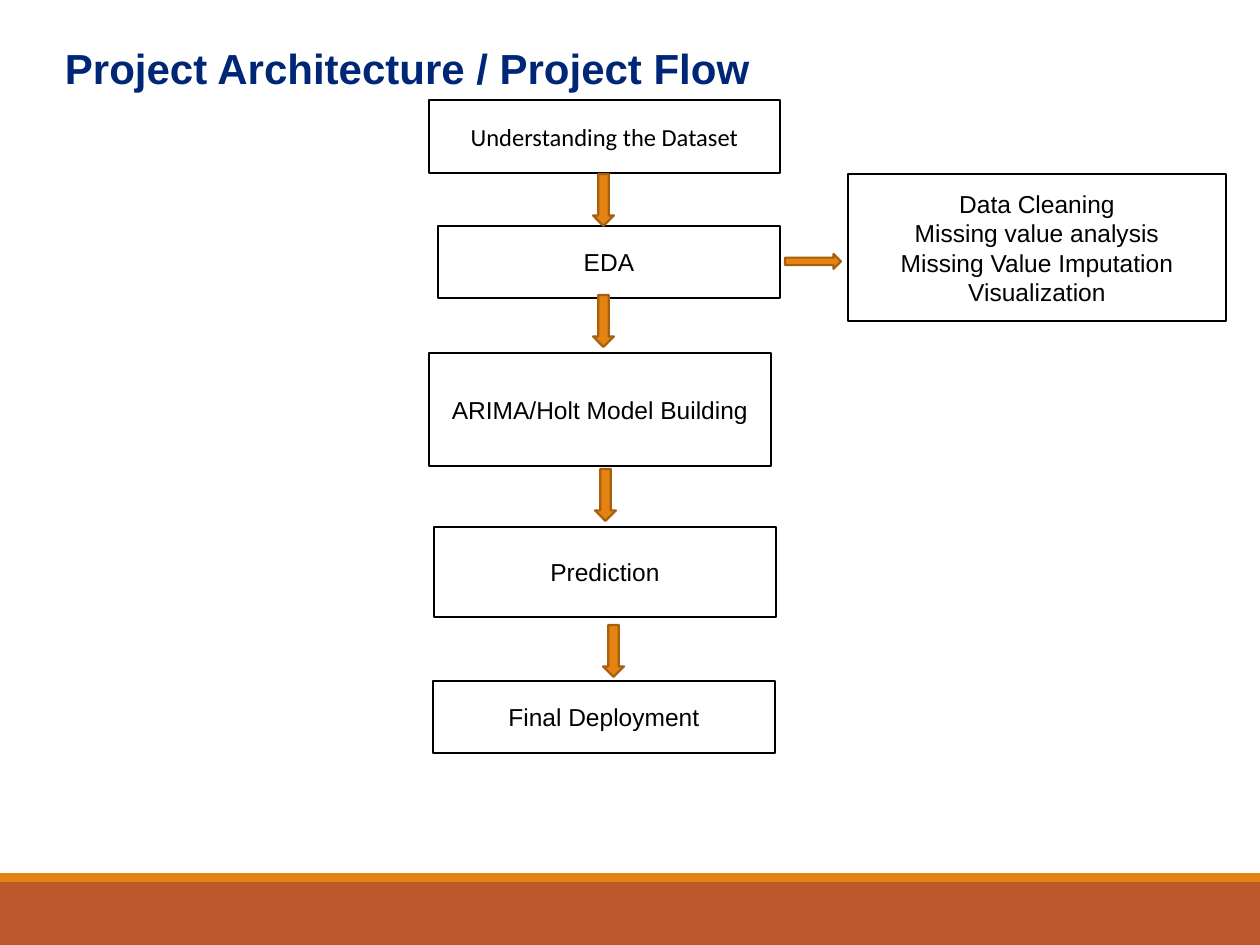
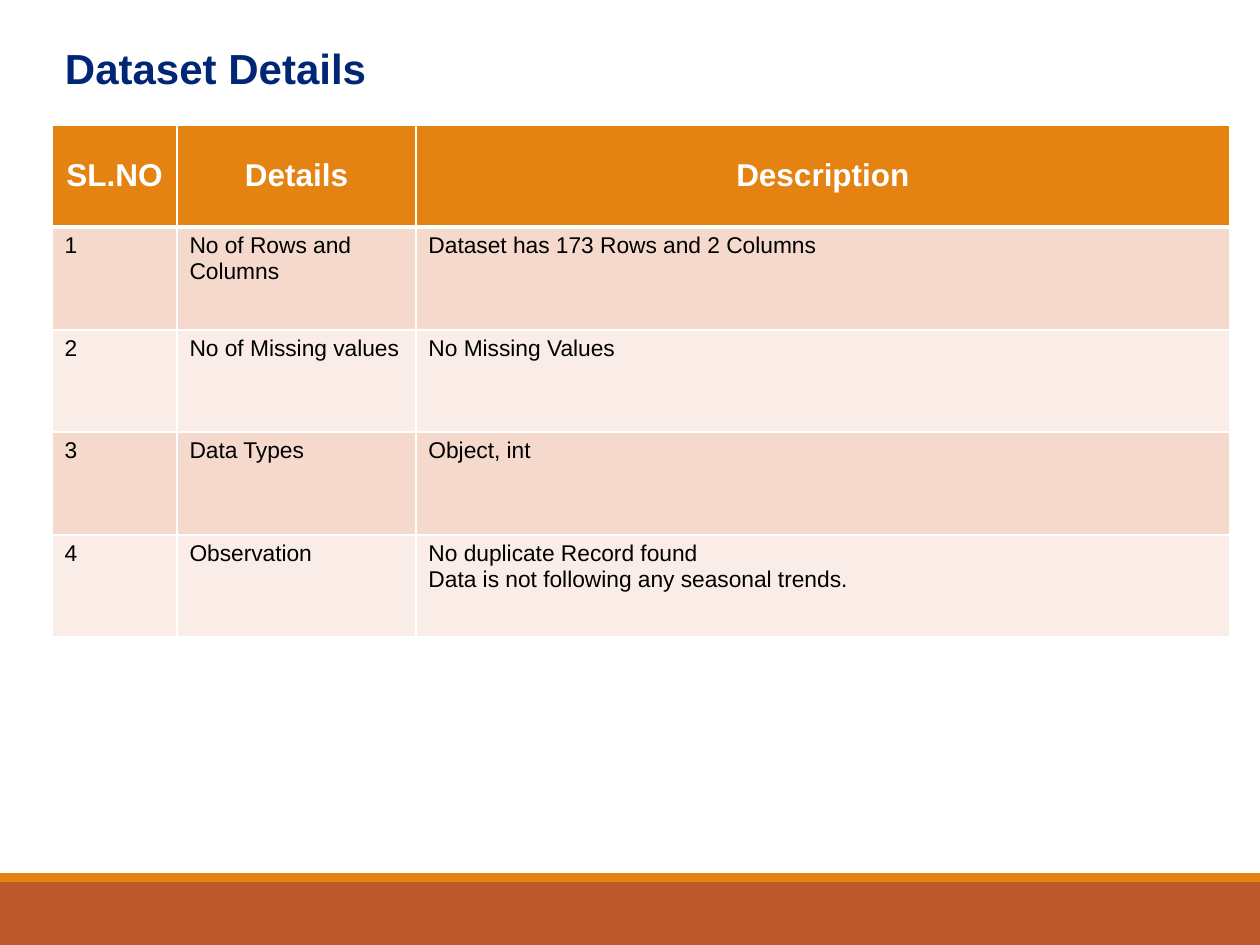
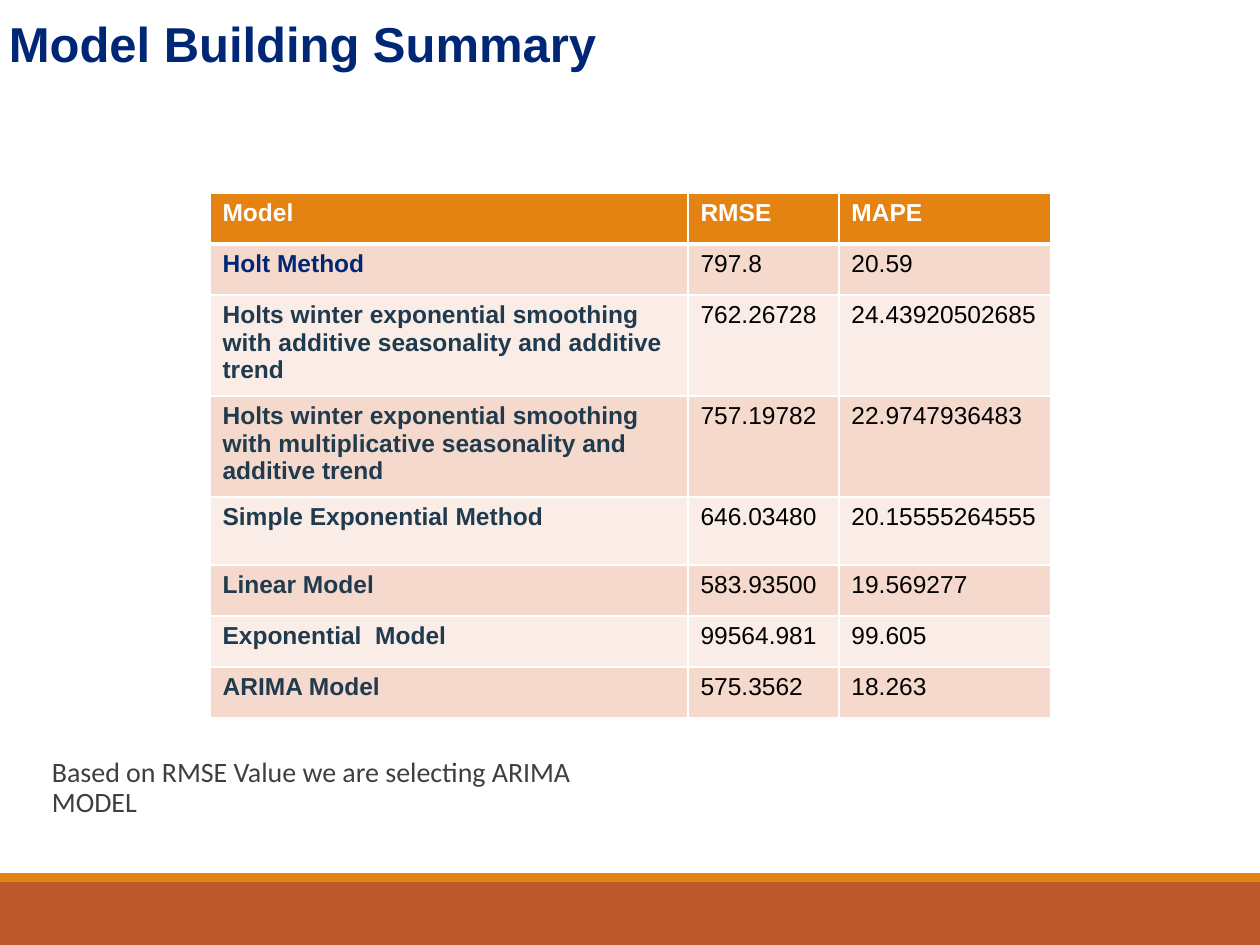
from lxml import etree
from pptx import Presentation
from pptx.dml.color import RGBColor
from pptx.enum.shapes import MSO_SHAPE
from pptx.enum.text import MSO_ANCHOR, PP_ALIGN
from pptx.oxml.ns import qn
from pptx.util import Pt

PX = 914400 / 126
W, H = 1260, 945
RECT, DOWN, RIGHT = MSO_SHAPE.RECTANGLE, MSO_SHAPE.DOWN_ARROW, MSO_SHAPE.RIGHT_ARROW
TOP, MIDDLE = MSO_ANCHOR.TOP, MSO_ANCHOR.MIDDLE
LEFT, CENTER = PP_ALIGN.LEFT, PP_ALIGN.CENTER

NAVY, SLATE, GREY = "002776", "203A4E", "3F3F3F"
BLACK, WHITE = "000000", "FFFFFF"
ORANGE, DARK_ORANGE, RUST = "E48312", "A65F0D", "BD582C"
BANDS = ["F5D9CC", "FAEDE7"]

TITLE = {"size": 24, "name": "Arial", "color": NAVY, "bold": True}
BODY = {"size": 14, "name": "Arial", "color": BLACK, "bold": False}
HEAD = {**BODY, "color": WHITE, "bold": True}

DETAILS = [
    ["SL.NO", "Details", "Description"],
    ["1", "No of Rows and Columns", "Dataset has 173 Rows and 2 Columns"],
    ["2", "No of Missing values", "No Missing Values"],
    ["3", "Data Types", "Object, int"],
    ["4", "Observation",
     "No duplicate Record found\nData is not following any seasonal trends."],
]
MODELS = [
    ["Model", "RMSE", "MAPE"],
    ["Holt Method", "797.8", "20.59"],
    ["Holts winter exponential smoothing with additive seasonality and additive trend",
     "762.26728", "24.43920502685"],
    ["Holts winter exponential smoothing with multiplicative seasonality and additive trend",
     "757.19782", "22.9747936483"],
    ["Simple Exponential Method", "646.03480", "20.15555264555"],
    ["Linear Model", "583.93500", "19.569277"],
    ["Exponential  Model", "99564.981", "99.605"],
    ["ARIMA Model", "575.3562", "18.263"],
]


def px(n):
    return round(n * PX)


def rgb(value):
    return RGBColor.from_string(value)


def write(tf, text, fmt, align=LEFT, spacing=None):
    """Fill a text frame, one paragraph for each line."""
    for i, line in enumerate(text.split("\n")):
        p = tf.paragraphs[0] if i == 0 else tf.add_paragraph()
        p.alignment = align
        p.line_spacing = spacing
        r = p.add_run()
        r.text = line
        for key, value in fmt.items():
            if key == "color":
                r.font.color.rgb = rgb(value)
            else:
                setattr(r.font, key, Pt(value) if key == "size" else value)


def add_shape(s, kind, box, fill, line=None):
    sp = s.shapes.add_shape(kind, *map(px, box))
    sp.shadow.inherit = False
    sp.fill.solid()
    sp.fill.fore_color.rgb = rgb(fill)
    if line:
        sp.line.color.rgb = rgb(line)
        sp.line.width = Pt(1.25)
    else:
        sp.line.fill.background()
    return sp


def add_text(s, box, text, fmt, margins=(13, 6), spacing=None):
    tf = s.shapes.add_textbox(*map(px, box)).text_frame
    tf.word_wrap = True
    tf.margin_left = tf.margin_right = px(margins[0])
    tf.margin_top = tf.margin_bottom = px(margins[1])
    write(tf, text, fmt, spacing=spacing)


def new_slide(prs):
    """Blank slide with the footer bands."""
    s = prs.slides.add_slide(prs.slide_layouts[6])
    add_shape(s, RECT, (0, 882, W, 63), RUST)
    add_shape(s, RECT, (0, 873, W, 9), ORANGE)
    return s


def add_title(s, text):
    add_text(s, (52, 37, 845, 63), text, TITLE)


def add_step(s, box, text, font="Arial"):
    sp = add_shape(s, RECT, box, WHITE, BLACK)
    tf = sp.text_frame
    tf.word_wrap = True
    tf.vertical_anchor = MIDDLE
    write(tf, text, {**BODY, "name": font}, CENTER)


def add_flow(s, left, top):
    """Column of steps, the arrows between them and the side note."""
    steps = [
        (0, 0, 351, 73, "Understanding the Dataset", "Calibri"),
        (9, 126, 342, 72, "EDA", "Arial"),
        (0, 253, 342, 113, "ARIMA/Holt Model Building", "Arial"),
        (5, 427, 342, 90, "Prediction", "Arial"),
        (4, 581, 342, 72, "Final Deployment", "Arial"),
    ]
    for x, y, w, h, text, font in steps:
        add_step(s, (left + x, top + y, w, h), text, font)
    for x, y in [(164, 74), (164, 195), (166, 369), (174, 525)]:
        add_shape(s, DOWN, (left + x, top + y, 21, 52), ORANGE, DARK_ORANGE)
    add_shape(s, RIGHT, (left + 356, top + 154, 56, 15), ORANGE, DARK_ORANGE)
    add_step(s, (left + 419, top + 74, 378, 147),
             "Data Cleaning\nMissing value analysis\nMissing Value Imputation\nVisualization")


def add_border(cell, side, width):
    ln = etree.SubElement(cell._tc.get_or_add_tcPr(), qn(f"a:ln{side}"), w=str(Pt(width)))
    fill = etree.SubElement(ln, qn("a:solidFill"))
    etree.SubElement(fill, qn("a:srgbClr"), val=WHITE)


def add_grid(s, left, top, cols, heights, rows, style):
    """Banded table; style(row, col) gives format, alignment and anchor."""
    frame = s.shapes.add_table(len(rows), len(cols), px(left), px(top),
                               px(sum(cols)), px(sum(heights)))
    table = frame.table
    for col, width in zip(table.columns, cols):
        col.width = px(width)
    for row, height in zip(table.rows, heights):
        row.height = px(height)
    for i, texts in enumerate(rows):
        for j, text in enumerate(texts):
            cell = table.cell(i, j)
            fmt, align, anchor = style(i, j)
            cell.vertical_anchor = anchor
            write(cell.text_frame, text, fmt, align)
            # A thick rule separates the header from the body
            for side in "LRTB":
                thick = (i, side) in [(0, "B"), (1, "T")]
                add_border(cell, side, 3 if thick else 1)
            cell.fill.solid()
            cell.fill.fore_color.rgb = rgb(BANDS[(i - 1) % 2] if i else ORANGE)


def details_style(row, col):
    if row == 0:
        return {**HEAD, "size": 18}, CENTER, MIDDLE
    return {**BODY, "size": 13}, LEFT, TOP


def models_style(row, col):
    if row == 0:
        fmt = HEAD
    elif col == 0:
        fmt = {**HEAD, "color": NAVY if row == 1 else SLATE}
    else:
        fmt = BODY
    return fmt, LEFT, TOP


def flow_slide(prs):
    s = new_slide(prs)
    add_title(s, "Project Architecture / Project Flow")
    add_flow(s, 429, 100)


def details_slide(prs):
    s = new_slide(prs)
    add_title(s, "Dataset Details")
    add_grid(s, 52, 125, [125, 239, 814], [102, 103, 102, 103, 102],
             DETAILS, details_style)


def summary_slide(prs):
    s = new_slide(prs)
    add_text(s, (9, 14, 864, 112), "Model Building Summary",
             {**TITLE, "size": 28}, margins=(0, 0))
    add_text(s, (52, 752, 578, 168), "Based on RMSE Value we are selecting ARIMA MODEL",
             {"size": 16, "name": "Calibri", "color": GREY}, margins=(0, 6), spacing=0.9)
    add_grid(s, 210, 193, [478, 151, 212], [51, 51, 95, 95, 68, 51, 51, 51],
             MODELS, models_style)


def main():
    prs = Presentation()
    prs.slide_width, prs.slide_height = px(W), px(H)
    flow_slide(prs)
    details_slide(prs)
    summary_slide(prs)
    prs.save("out.pptx")


if __name__ == "__main__":
    main()
